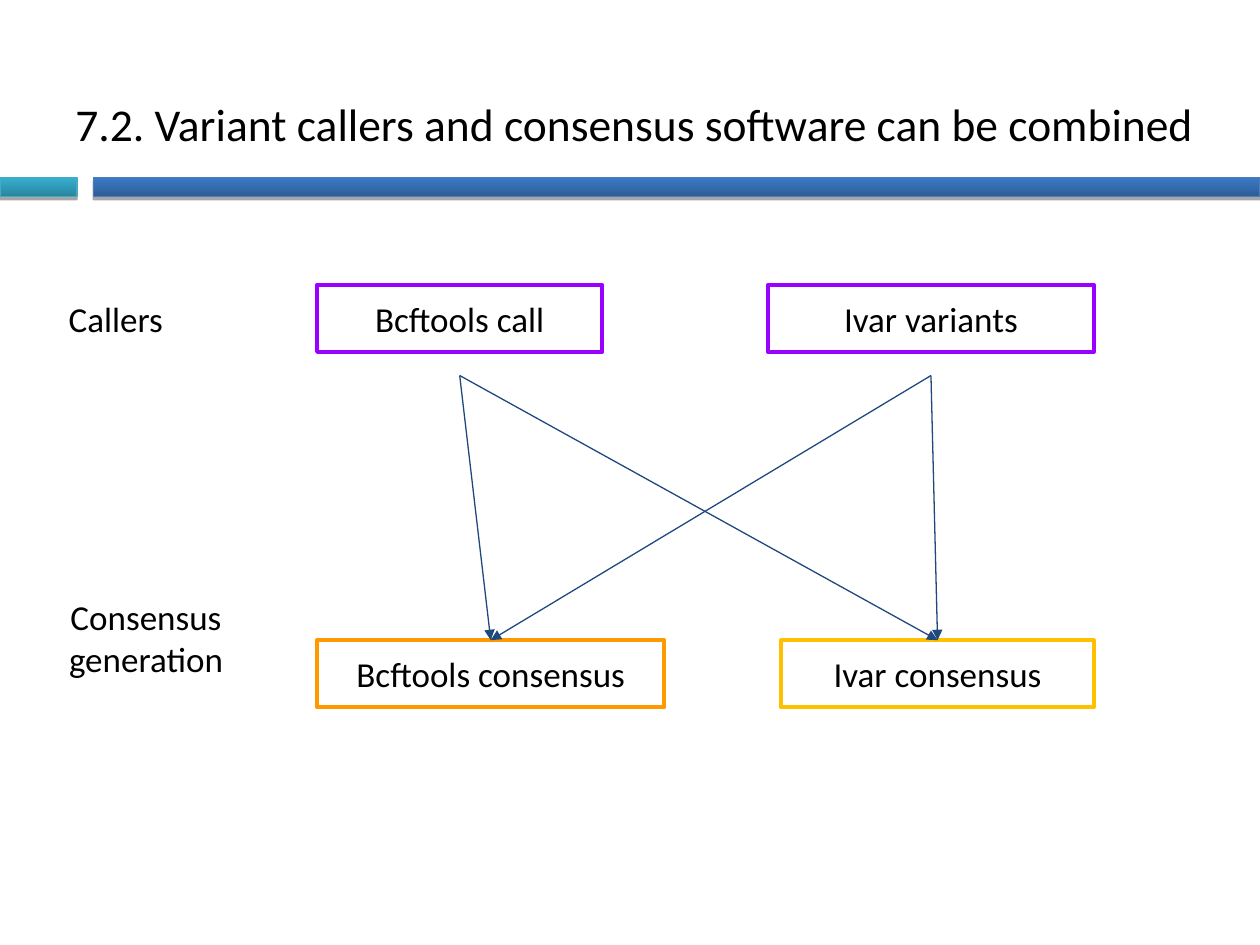
from lxml import etree
from pptx import Presentation
from pptx import util as u
from pptx.dml.color import RGBColor
from pptx.enum import shapes, text
from pptx.oxml import ns

Pt = u.Pt
INSET = 7.2


def rgb(value):
    return RGBColor.from_string(value)


def write(shape, words, size=20, color="000000", font="Calibri",
          align=text.PP_ALIGN.CENTER, anchor=text.MSO_ANCHOR.TOP,
          margin=INSET, fit=text.MSO_AUTO_SIZE.SHAPE_TO_FIT_TEXT):
    frame = shape.text_frame
    frame.word_wrap = True
    frame.auto_size = fit
    frame.vertical_anchor = anchor
    frame.margin_left = frame.margin_right = Pt(INSET)
    frame.margin_top = frame.margin_bottom = Pt(margin)
    paragraph = frame.paragraphs[0]
    paragraph.alignment = align
    run = paragraph.add_run()
    run.text = words
    run.font.name = font
    run.font.size = Pt(size)
    run.font.color.rgb = rgb(color)


def add_rect(slide, left, top, width, height, outline, weight):
    rect = slide.shapes.add_shape(shapes.MSO_SHAPE.RECTANGLE, Pt(left), Pt(top), Pt(width), Pt(height))
    rect.shadow.inherit = False
    rect.line.color.rgb = rgb(outline)
    rect.line.width = Pt(weight)
    return rect


def add_label(slide, left, top, width, height, words, **style):
    label = slide.shapes.add_textbox(Pt(left), Pt(top), Pt(width), Pt(height))
    write(label, words, **style)


def add_bar(slide, left, top, width, height, dark, light, outline):
    bar = add_rect(slide, left, top, width, height, outline, 0.75)
    bar.fill.gradient()
    bar.fill.gradient_angle = 90
    for stop, shade, position in zip(bar.fill.gradient_stops, (dark, light), (0, 1)):
        stop.color.rgb = rgb(shade)
        stop.position = position
    effects = bar.element.spPr.find(ns.qn("a:effectLst"))
    shadow = etree.SubElement(effects, ns.qn("a:outerShdw"), blurRad="0",
                              dist=str(Pt(1.8)), dir="5400000", rotWithShape="0")
    black = etree.SubElement(shadow, ns.qn("a:srgbClr"), val="000000")
    etree.SubElement(black, ns.qn("a:alpha"), val="35000")


def add_header(slide, left, top, width, height):
    bar_top, bar_height, split, gap = top + 101.5, 10.8, 44, 9.3
    blue_left = left + split + gap
    add_bar(slide, blue_left, bar_top, width - split - gap, bar_height, "2D5C97", "3C7AC5", "4A7DBA")
    add_bar(slide, left, bar_top, split, bar_height, "29859E", "36B0D0", "45A9C4")
    add_label(slide, left + 36, top + 39, 675.5, height - 39,
              "7.2. Variant callers and consensus software can be combined",
              size=26, align=text.PP_ALIGN.LEFT, anchor=text.MSO_ANCHOR.MIDDLE,
              margin=3.6, fit=text.MSO_AUTO_SIZE.NONE)


def add_step(slide, left, top, width, height, words, outline):
    step = add_rect(slide, left, top, width, height, outline, 2.25)
    step.fill.background()
    write(step, words)
    return step


def add_arrow(slide, caller, consensus, gap):
    x = caller.left + caller.width // 2
    y = caller.top + caller.height + Pt(gap)
    arrow = slide.shapes.add_connector(shapes.MSO_CONNECTOR.STRAIGHT, x, y, x, y)
    arrow.end_connect(consensus, 0)
    arrow.line.color.rgb = rgb("1F497D")
    arrow.line.width = Pt(0.75)
    properties = arrow.element.spPr
    etree.SubElement(properties.find(ns.qn("a:ln")), ns.qn("a:tailEnd"), type="triangle")
    etree.SubElement(properties, ns.qn("a:effectLst"))


def add_workflow(slide, left, top, width, height):
    step_height = 38.4
    first = left + 169
    right = left + width
    bottom = top + height - step_height

    callers = [
        add_step(slide, first, top, 163, step_height, "Bcftools call", "9900FF"),
        add_step(slide, right - 186, top, 186, step_height, "Ivar variants", "9900FF"),
    ]
    consensuses = [
        add_step(slide, right - 178.5, bottom, 178.5, step_height, "Ivar consensus", "FFC000"),
        add_step(slide, first, bottom, 198.5, step_height, "Bcftools consensus", "FF9900"),
    ]
    add_label(slide, left, top, 108, step_height, "Callers")
    add_label(slide, left, bottom - 32.5, 142.5, 62.6, "Consensus generation")
    for caller in callers:
        for consensus in consensuses:
            add_arrow(slide, caller, consensus, 13.5)


def main():
    deck = Presentation()
    deck.slide_width, deck.slide_height = Pt(720), Pt(540)
    slide = deck.slides.add_slide(deck.slide_layouts[6])
    add_header(slide, 0, 0, 720, 101.5)
    add_workflow(slide, 12.2, 162.7, 612.8, 241.5)
    deck.save("out.pptx")


if __name__ == "__main__":
    main()
